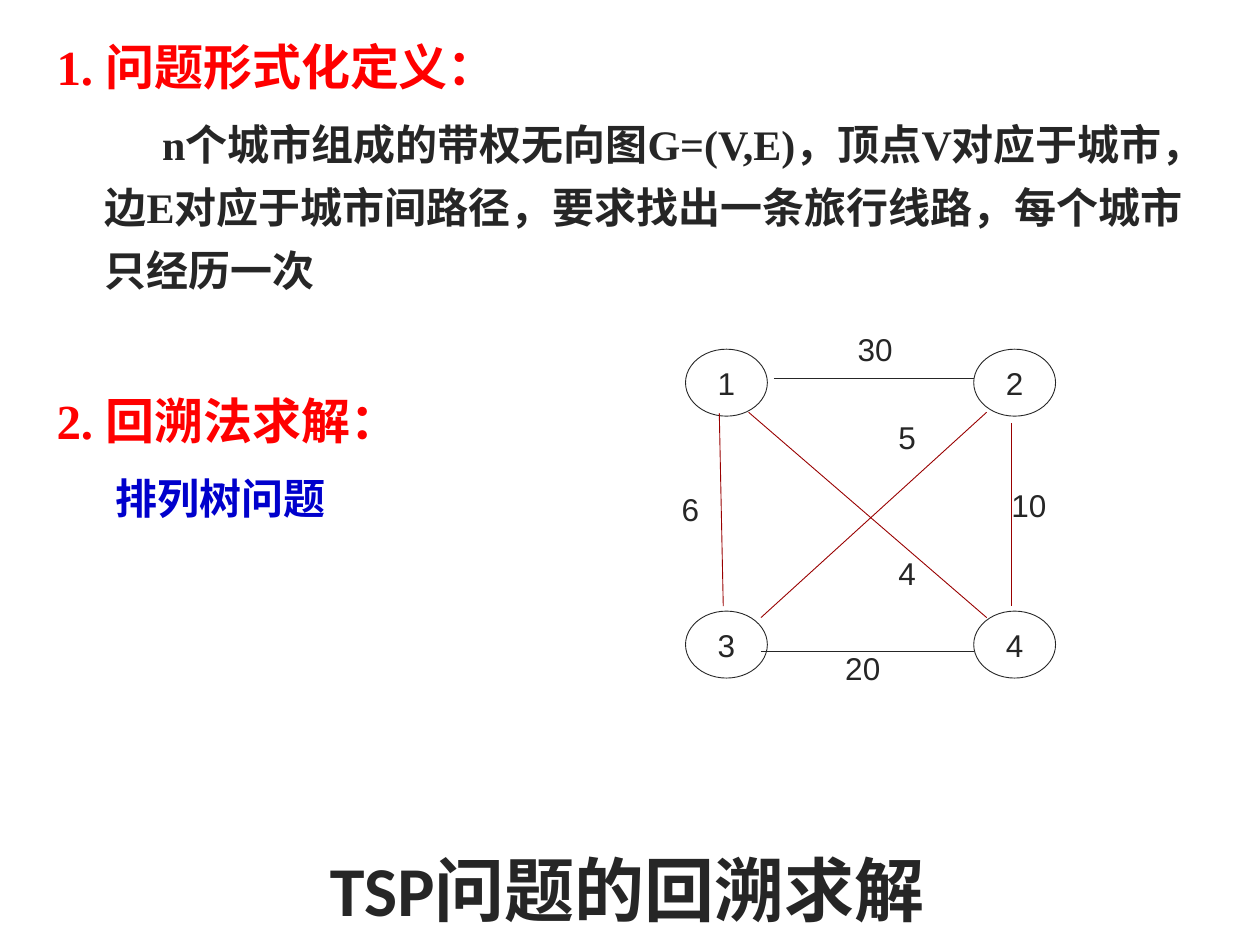
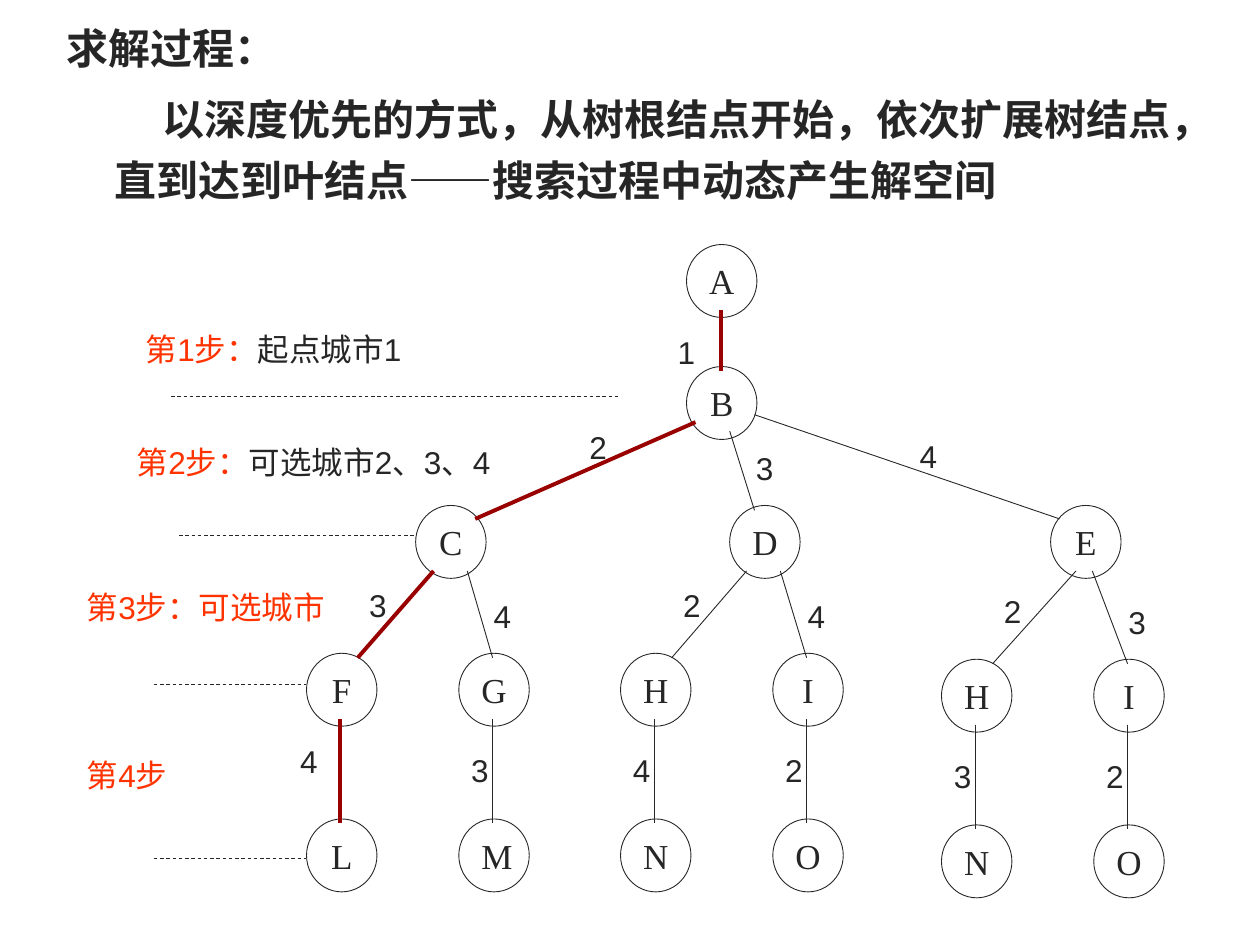
from dataclasses import dataclass

from lxml import etree
from pptx import Presentation
from pptx.dml.color import RGBColor
from pptx.enum import dml, shapes, text
from pptx.oxml.ns import qn
from pptx.util import Cm, Pt

INK = RGBColor(0x26, 0x26, 0x26)
ROUTE = RGBColor(0x99, 0x00, 0x00)
HEADING = RGBColor(0xFF, 0x00, 0x00)
ANSWER = RGBColor(0x00, 0x00, 0xCC)
STEP = RGBColor(0xFF, 0x33, 0x00)

SERIF = "Times New Roman"
SANS = "Arial"
TITLE_FONT = "Calibri"

THIN = 0.5
THICK = 2.25
LABEL_HEIGHT = 1.02


@dataclass(frozen=True)
class Line:
    x1: float
    y1: float
    x2: float
    y2: float
    color: RGBColor = INK
    weight: float = THIN
    dashed: bool = False


@dataclass(frozen=True)
class Label:
    words: str
    left: float
    top: float


@dataclass(frozen=True)
class NodeStyle:
    width: float
    height: float
    font: str
    size: float


@dataclass(frozen=True)
class BodyLine:
    words: str
    size: float = 24
    color: RGBColor = INK
    spacing: float = 1.25
    before: float = 6
    margin: float = 0.97
    indent: float = 0


@dataclass(frozen=True)
class Child:
    city: str
    leaf: str
    edge: str
    leaf_edge: str
    on_route: bool = False


@dataclass(frozen=True)
class Branch:
    city: str
    left: float
    exits: tuple[float, float]
    children: tuple[Child, Child]
    drop: float = 0


@dataclass(frozen=True)
class StepNote:
    step: str
    detail: str
    left: float
    top: float
    width: float
    guide: Line


CITY = NodeStyle(1.65, 1.35, SANS, 18)
TREE_NODE = NodeStyle(1.42, 1.47, SERIF, 20)

COLUMNS = (13.82, 19.63)
ROWS = (7.04, 12.32)

ROADS = (
    Line(15.6, 7.62, 19.63, 7.62),
    Line(14.5, 8.33, 14.58, 12.22, ROUTE),
    Line(15.34, 13.13, 19.63, 13.13),
    Line(20.4, 8.53, 20.4, 12.22, ROUTE),
    Line(15.34, 12.45, 19.89, 8.31, ROUTE),
    Line(15.09, 8.31, 19.89, 12.45, ROUTE),
)
DISTANCES = (
    Label("30", 17.04, 6.53),
    Label("6", 13.49, 9.75),
    Label("10", 20.14, 9.68),
    Label("20", 16.79, 12.95),
    Label("5", 17.86, 8.31),
    Label("4", 17.86, 11.05),
)
PROBLEM = (
    BodyLine("1. 问题形式化定义：", 28, HEADING, 0.9, 0, 0),
    BodyLine(
        "n个城市组成的带权无向图G=(V,E)，顶点V对应于城市，边E对应于城市间路径，"
        "要求找出一条旅行线路，每个城市只经历一次",
        indent=1.16,
    ),
    BodyLine("2. 回溯法求解：", 28, HEADING, before=46, indent=-0.97),
    BodyLine("排列树问题", color=ANSWER, margin=1.18),
)
PROCESS = (
    BodyLine("求解过程：", spacing=1.2, before=0, indent=-0.97),
    BodyLine(
        "以深度优先的方式，从树根结点开始，依次扩展树结点，"
        "直到达到叶结点——搜索过程中动态产生解空间",
        spacing=1.2,
        indent=0.97,
    ),
)

ROOT_LEFT = 13.84
BRANCH_TOP = 10.19
CHILD_TOP = 13.17
LEAF_TOP = 16.51
CHILD_OFFSETS = (-2.2, 0.87)
EDGE_ENDS = (-1.17, 1.55)
EDGE_LABELS = ((-1.19, 11.68), (1.32, 11.91))

BRANCHES = (
    Branch("C", 8.38, (0.36, 1.04),
           (Child("F", "L", "3", "4", True), Child("G", "M", "4", "3"))),
    Branch("D", 14.71, (0.34, 1.02),
           (Child("H", "N", "2", "4"), Child("I", "O", "4", "2"))),
    Branch("E", 21.18, (0.51, 0.84),
           (Child("H", "N", "2", "3"), Child("I", "O", "3", "2")), 0.12),
)
TRUNK = (
    Line(14.53, 6.25, 14.53, 7.47, ROUTE, THICK),
    Line(14.02, 8.51, 9.58, 10.46, ROUTE, THICK),
    Line(14.71, 8.69, 15.21, 10.29),
    Line(15.21, 8.36, 21.36, 10.46),
)
TRUNK_LABELS = (
    Label("1", 13.41, 6.58),
    Label("2", 11.63, 8.51),
    Label("3", 14.99, 8.92),
    Label("4", 18.29, 8.69),
)
STEPS = (
    StepNote("第1步：", "起点城市1", 2.69, 6.53, 5.66,
             Line(3.45, 8, 12.5, 8, dashed=True)),
    StepNote("第2步：", "可选城市2、3、4", 2.51, 8.81, 7.65,
             Line(3.61, 10.8, 8.38, 10.8, dashed=True)),
    StepNote("第3步：可选城市", "", 1.5, 11.73, 5.31,
             Line(3.1, 13.79, 6.17, 13.79, dashed=True)),
    StepNote("第4步", "", 1.5, 15.11, 2.13,
             Line(3.1, 17.3, 6.17, 17.3, dashed=True)),
)


def style_font(paragraph, name: str, size: float, color: RGBColor | None = INK,
               bold: bool = False) -> None:
    paragraph.font.name = name
    paragraph.font.size = Pt(size)
    paragraph.font.bold = bold
    if color is not None:
        paragraph.font.color.rgb = color


def add_text_frame(slide, left: float, top: float, width: float, height: float,
                   wrap: bool = True):
    box = slide.shapes.add_textbox(Cm(left), Cm(top), Cm(width), Cm(height))
    box.text_frame.word_wrap = wrap
    return box.text_frame


def add_title(slide, words: str) -> None:
    frame = add_text_frame(slide, 2.9, 16.33, 19.48, 3.18)
    frame.vertical_anchor = text.MSO_ANCHOR.MIDDLE
    paragraph = frame.paragraphs[0]
    paragraph.text = words
    paragraph.alignment = text.PP_ALIGN.CENTER
    style_font(paragraph, TITLE_FONT, 40, bold=True)


def add_body(slide, lines: tuple[BodyLine, ...], font: str, left: float, top: float,
             width: float, height: float) -> None:
    frame = add_text_frame(slide, left, top, width, height)
    for index, line in enumerate(lines):
        paragraph = frame.add_paragraph() if index else frame.paragraphs[0]
        paragraph.text = line.words
        paragraph.line_spacing = line.spacing
        paragraph.space_before = Pt(line.before)
        properties = paragraph._p.get_or_add_pPr()
        properties.set("marL", str(Cm(line.margin)))
        properties.set("indent", str(Cm(line.indent)))
        style_font(paragraph, font, line.size, line.color, True)


def add_node(slide, words: str, left: float, top: float, style: NodeStyle) -> None:
    shape = slide.shapes.add_shape(shapes.MSO_SHAPE.OVAL, Cm(left), Cm(top),
                                   Cm(style.width), Cm(style.height))
    shape.shadow.inherit = False
    shape.fill.background()
    shape.line.color.rgb = INK
    shape.line.width = Pt(THIN)
    shape.text_frame.vertical_anchor = text.MSO_ANCHOR.MIDDLE
    paragraph = shape.text_frame.paragraphs[0]
    paragraph.text = words
    paragraph.alignment = text.PP_ALIGN.CENTER
    style_font(paragraph, style.font, style.size)


def add_line(slide, line: Line) -> None:
    connector = slide.shapes.add_connector(
        shapes.MSO_CONNECTOR.STRAIGHT,
        Cm(line.x1), Cm(line.y1), Cm(line.x2), Cm(line.y2))
    connector.line.color.rgb = line.color
    connector.line.width = Pt(line.weight)
    if line.dashed:
        connector.line.dash_style = dml.MSO_LINE.DASH
    etree.SubElement(connector._element.spPr, qn("a:effectLst"))


def add_label(slide, label: Label) -> None:
    width = 0.5 + 0.36 * len(label.words)
    frame = add_text_frame(slide, label.left, label.top, width, LABEL_HEIGHT, False)
    paragraph = frame.paragraphs[0]
    paragraph.text = label.words
    style_font(paragraph, SANS, 18)


def add_branch(slide, branch: Branch) -> None:
    add_node(slide, branch.city, branch.left, BRANCH_TOP, TREE_NODE)
    child_top, leaf_top = CHILD_TOP + branch.drop, LEAF_TOP + branch.drop
    for child, offset, start, end, (label_left, label_top) in zip(
            branch.children, CHILD_OFFSETS, branch.exits, EDGE_ENDS, EDGE_LABELS):
        left = branch.left + offset
        stem = left + 0.68
        pen = (ROUTE, THICK) if child.on_route else (INK, THIN)
        add_node(slide, child.city, left, child_top, TREE_NODE)
        add_node(slide, child.leaf, left, leaf_top, TREE_NODE)
        add_line(slide, Line(branch.left + start, 11.51,
                             branch.left + end, child_top + 0.09, *pen))
        add_line(slide, Line(stem, child_top + 1.32, stem, leaf_top + 0.09, *pen))
        add_label(slide, Label(child.edge, branch.left + label_left,
                               label_top + branch.drop))
        shift = (-0.38, 1.66) if child.on_route else (0, 1.85)
        add_label(slide, Label(child.leaf_edge, left + shift[0], child_top + shift[1]))


def add_step(slide, note: StepNote) -> None:
    add_line(slide, note.guide)
    frame = add_text_frame(slide, note.left, note.top, note.width, LABEL_HEIGHT)
    paragraph = frame.paragraphs[0]
    for words, color in ((note.step, STEP), (note.detail, INK)):
        if words:
            run = paragraph.add_run()
            run.text = words
            run.font.color.rgb = color
    style_font(paragraph, SANS, 18, None)


def build_problem(slide) -> None:
    add_title(slide, "TSP问题的回溯求解")
    add_body(slide, PROBLEM, SERIF, 0.89, 0.74, 23.44, 14.48)
    for index in range(4):
        row, column = divmod(index, 2)
        add_node(slide, str(index + 1), COLUMNS[column], ROWS[row], CITY)
    for road in ROADS:
        add_line(slide, road)
    for distance in DISTANCES:
        add_label(slide, distance)


def build_search_tree(slide) -> None:
    add_body(slide, PROCESS, TITLE_FONT, 1.09, 0.13, 23.32, 16.21)
    for city, top in (("A", 4.93), ("B", 7.39)):
        add_node(slide, city, ROOT_LEFT, top, TREE_NODE)
    for branch in BRANCHES:
        add_branch(slide, branch)
    for edge in TRUNK:
        add_line(slide, edge)
    for label in TRUNK_LABELS:
        add_label(slide, label)
    for note in STEPS:
        add_step(slide, note)


def main() -> None:
    presentation = Presentation()
    presentation.slide_width = Cm(25.4)
    presentation.slide_height = Cm(19.05)
    blank = presentation.slide_layouts[6]
    for build in (build_problem, build_search_tree):
        build(presentation.slides.add_slide(blank))
    presentation.save("out.pptx")


if __name__ == "__main__":
    main()
